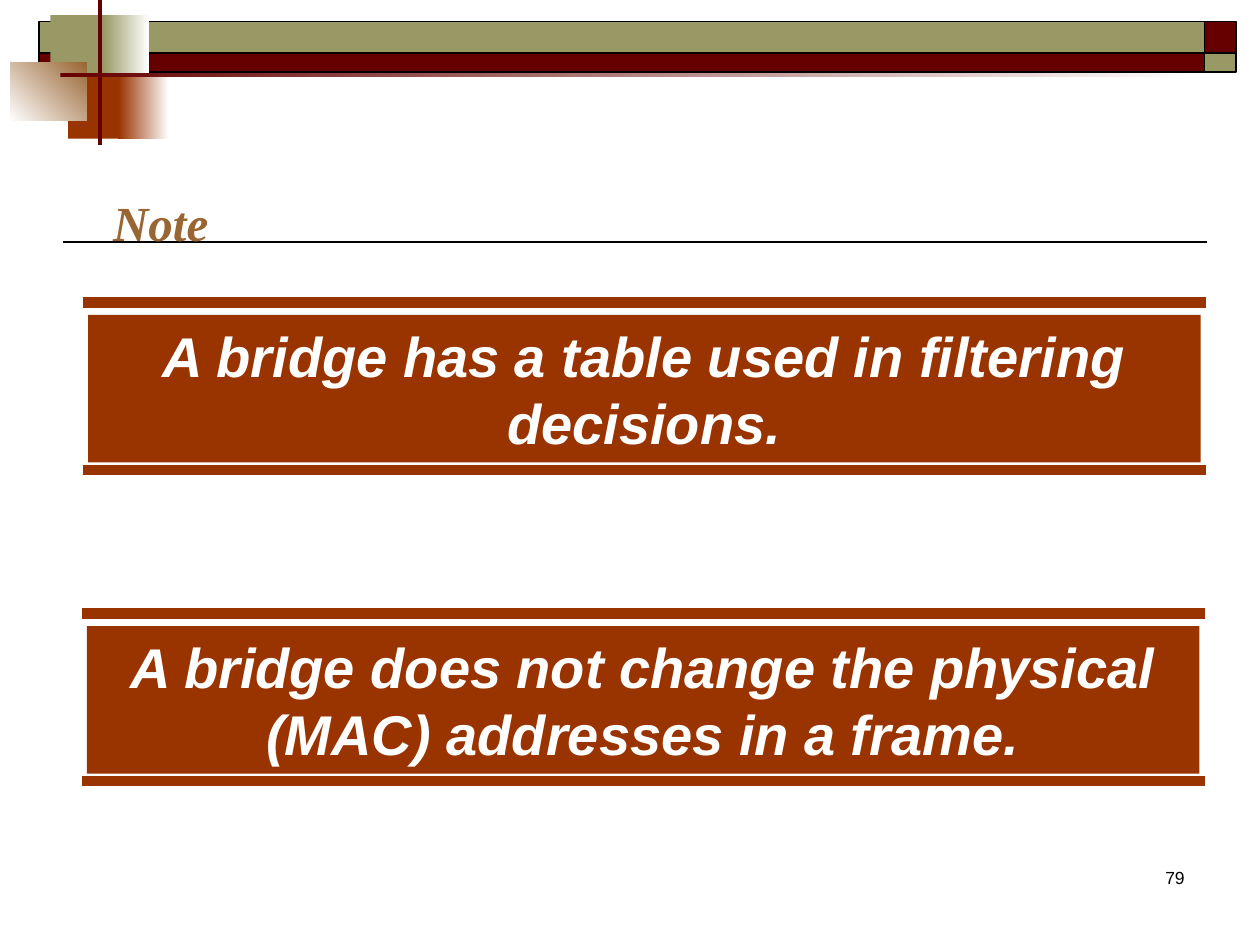
from lxml import etree
from pptx import Presentation
from pptx.dml.color import RGBColor
from pptx.enum import shapes, text
from pptx.oxml import ns
from pptx.util import Inches, Pt

COLORS = {
    "olive": "999966",
    "maroon": "660000",
    "rust": "993300",
    "tan": "996633",
    "white": "FFFFFF",
    "black": "000000",
}


def rgb(name):
    return RGBColor.from_string(COLORS[name])


def add_block(slide, left, top, width, height, color, fade_to=None, angle=0, outline=None):
    """Add a rectangle, solid or fading to a second colour; angle is counter-clockwise."""
    block = slide.shapes.add_shape(
        shapes.MSO_SHAPE.RECTANGLE,
        Inches(left), Inches(top), Inches(width), Inches(height))
    block.shadow.inherit = False
    if fade_to:
        block.fill.gradient()
        block.fill.gradient_angle = angle
        for stop, stop_color in zip(block.fill.gradient_stops, (color, fade_to)):
            stop.color.rgb = rgb(stop_color)
    else:
        block.fill.solid()
        block.fill.fore_color.rgb = rgb(color)
    if outline:
        block.line.color.rgb = rgb(outline)
        block.line.width = Pt(1)
    else:
        block.line.fill.background()
    return block


def add_rule(slide, left, top, width, color, weight):
    rule = slide.shapes.add_connector(
        shapes.MSO_CONNECTOR.STRAIGHT,
        Inches(left), Inches(top), Inches(left + width), Inches(top))
    rule.line.color.rgb = rgb(color)
    rule.line.width = Pt(weight)
    etree.SubElement(rule._element.spPr, ns.qn("a:effectLst"))


def write(shape, words, size, color, font="Arial", align="LEFT", bold=False,
          italic=False, wrap=True, anchor="TOP"):
    frame = shape.text_frame
    frame.word_wrap = wrap
    frame.vertical_anchor = getattr(text.MSO_ANCHOR, anchor)
    paragraph = frame.paragraphs[0]
    paragraph.alignment = getattr(text.PP_ALIGN, align)
    run = paragraph.add_run()
    run.text = words
    run.font.name = font
    run.font.size = Pt(size)
    run.font.bold = bold
    run.font.italic = italic
    run.font.color.rgb = rgb(color)


def add_label(slide, left, top, width, height, words, **style):
    label = slide.shapes.add_textbox(
        Inches(left), Inches(top), Inches(width), Inches(height))
    write(label, words, **style)


def add_header_band(slide, left, top, width):
    """Two stacked bars, each ending in a cap of the other bar's colour."""
    cap = 0.25
    bar = width - cap
    for offset, height, bar_color, cap_color in (
            (0, 0.25, "olive", "maroon"), (0.25, 0.15, "maroon", "olive")):
        add_block(slide, left + bar, top + offset, cap, height, cap_color, outline="black")
        add_block(slide, left, top + offset, bar, height, bar_color, outline="black")


def add_corner_ornament(slide, left, top):
    """Overlapping fading squares crossed by two thin maroon bars."""
    height = 0.52
    add_block(slide, left + 0.32, top + 0.12, 0.48, height, "olive")
    add_block(slide, left + 0.74, top + 0.12, 0.36, height, "olive", fade_to="white")
    add_block(slide, left + 0.46, top + 0.58, 0.46, height, "rust")
    add_block(slide, left + 0.86, top + 0.58, 0.4, height, "rust", fade_to="white")
    add_block(slide, left, top + 0.5, 0.61, 0.46, "white", fade_to="tan", angle=45)
    add_block(slide, left + 0.7, top, 0.03, 1.15, "maroon")
    add_block(slide, left + 0.4, top + 0.58, 9, 0.03, "maroon", fade_to="white")


def add_statement(slide, left, top, words):
    """A filled panel of text between two thick rules."""
    width, inset = 8.91, 0.04
    for offset in (0, 1.33):
        add_rule(slide, left, top + offset, width, "rust", 6)
    panel = add_block(slide, left + inset, top + 0.1, width - 2 * inset, 1.17, "rust")
    write(panel, words, size=32, color="white", align="CENTER", bold=True, italic=True)


def main():
    deck = Presentation()
    deck.slide_width, deck.slide_height = Inches(10), Inches(7.5)
    slide = deck.slides.add_slide(deck.slide_layouts[6])

    add_rule(slide, 0.5, 1.92, 9.08, "black", 1)
    add_header_band(slide, 0.31, 0.17, 9.5)
    add_corner_ornament(slide, 0.08, 0)
    add_label(slide, 0.8, 1.48, 0.96, 0.57, "Note", size=28, color="tan",
              font="Times New Roman", bold=True, italic=True, wrap=False)
    add_statement(slide, 0.66, 2.4, "A bridge has a table used in filtering decisions.")
    add_statement(slide, 0.65, 4.87,
                  "A bridge does not change the physical (MAC) addresses in a frame.")
    add_label(slide, 7.42, 6.83, 2.08, 0.5, "79", size=10, color="black",
              align="RIGHT", anchor="TOP")

    deck.save("out.pptx")


if __name__ == "__main__":
    main()
